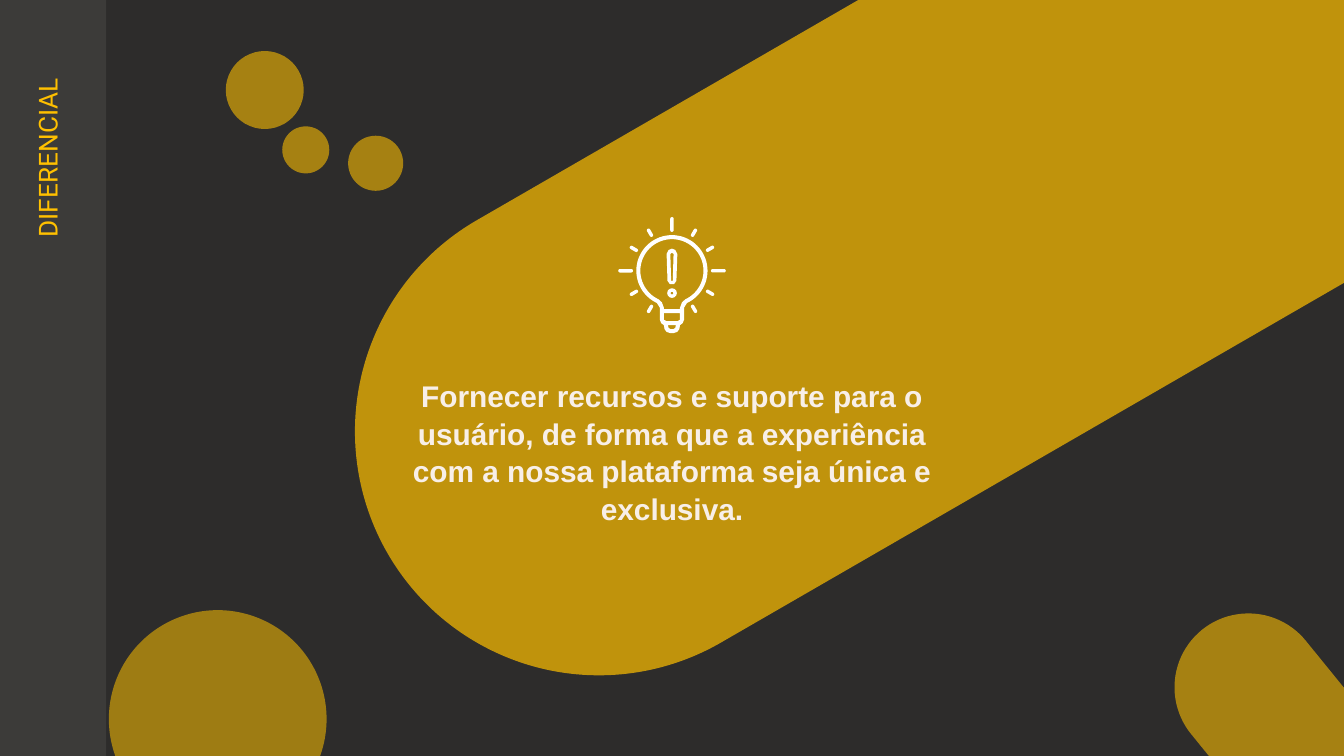
import math

from lxml import etree
from pptx import Presentation
from pptx import util as u
from pptx.dml.color import RGBColor
from pptx.enum import shapes, text
from pptx.oxml.ns import qn

COLORS = {
    "background": "2D2C2B",
    "sidebar": "3C3B39",
    "amber": "FFC000",
    "cream": "F8EFE8",
    "icon": "FFFFFF",
}
COLUMNS, ROWS = 100, 56.25
CELL = u.Inches(0.1)
SHAPE = shapes.MSO_SHAPE


def cells(count):
    return u.Emu(round(count * CELL))


def mirrored(half):
    """Close a left half-profile of (offset, row) points around its axis."""
    return half + [(-dx, y) for dx, y in reversed(half)]


class Deck:
    def __init__(self):
        self.presentation = Presentation()
        self.presentation.slide_width = cells(COLUMNS)
        self.presentation.slide_height = cells(ROWS)
        self.slide = self.presentation.slides.add_slide(self.presentation.slide_layouts[6])
        self.paint(self.slide.background, "background")

    def paint(self, target, color, opacity=100):
        target.fill.solid()
        target.fill.fore_color.rgb = RGBColor.from_string(COLORS[color])
        if opacity < 100:
            tint = target.fill._xPr.find(qn("a:solidFill"))[0]
            etree.SubElement(tint, qn("a:alpha"), val=str(opacity * 1000))

    def finish(self, shape, color, opacity=100):
        self.paint(shape, color, opacity)
        shape.line.fill.background()
        shape.shadow.inherit = False

    def block(self, kind, box, color, opacity=100, rotation=0, adjust=None, parent=None):
        shape = (parent or self.slide).shapes.add_shape(kind, *map(cells, box))
        shape.rotation = rotation
        if adjust is not None:
            shape.adjustments[0] = adjust
        self.finish(shape, color, opacity)

    def outline(self, parent, axis, contours, color):
        """Fill one shape made of an outer contour and its openings."""
        paths = [[(cells(axis + dx), cells(y)) for dx, y in mirrored(half)] for half in contours]
        builder = parent.shapes.build_freeform(*paths[0][0])
        builder.add_line_segments(paths[0][1:])
        for path in paths[1:]:
            builder.move_to(*path[0])
            builder.add_line_segments(path[1:])
        self.finish(builder.convert_to_shape(), color)

    def words(self, box, content, font, size, color, align, bold=False, rotation=0,
              spacing=1.0, after=0):
        label = self.slide.shapes.add_textbox(*map(cells, box))
        label.rotation = rotation
        frame = label.text_frame
        frame.word_wrap = True
        frame.vertical_anchor = text.MSO_ANCHOR.TOP
        frame.margin_left = frame.margin_right = cells(1)
        frame.margin_top = frame.margin_bottom = cells(1)
        paragraph = frame.paragraphs[0]
        paragraph.alignment = align
        paragraph.line_spacing = spacing
        paragraph.space_after = u.Pt(after)
        run = paragraph.add_run()
        run.text = content
        run.font.name, run.font.size, run.font.bold = font, u.Pt(size), bold
        run.font.color.rgb = RGBColor.from_string(COLORS[color])

    def light_bulb(self, x, y):
        icon = self.slide.shapes.add_group_shape()

        # Glass, collar and tip
        def glass(radius):
            angles = [math.radians(a) for a in range(180, 336, 5)]
            return [(radius * math.sin(a), y + radius * math.cos(a)) for a in angles]

        base = [(-0.9, 22.9), (-0.9, 23.8), (-0.8, 24.05), (-0.6, 24.2),
                (-0.55, 24.5), (-0.4, 24.7), (-0.1, 24.8)]
        self.outline(icon, x, [
            glass(2.65) + base,
            glass(2.35) + [(-0.75, 22.5), (-0.6, 22.9), (-0.6, 23)],
            [(-0.6, 23.3), (-0.6, 23.8), (-0.4, 23.9)],
            [(-0.3, 24.2), (-0.25, 24.4), (-0.1, 24.5)],
        ], "icon")

        # Exclamation mark
        self.outline(icon, x, [
            [(0, 18.5), (-0.25, 18.6), (-0.4, 18.9), (-0.33, 20.9), (-0.15, 21.15)],
            [(0, 18.8), (-0.12, 18.9), (-0.12, 19), (-0.06, 20.9)],
        ], "icon")
        self.block(SHAPE.DONUT, (x - 0.36, 21.45, 0.72, 0.72), "icon", adjust=0.36, parent=icon)

        # Rays every 30 degrees, except straight down
        for angle in range(-240, 61, 30):
            length, reach = (1.1, 3.45) if angle % 90 == 0 else (0.68, 3.27)
            ray_x = x + reach * math.cos(math.radians(angle))
            ray_y = y + reach * math.sin(math.radians(angle))
            self.block(SHAPE.ROUNDED_RECTANGLE,
                       (ray_x - length / 2, ray_y - 0.13, length, 0.26),
                       "icon", rotation=angle % 360, adjust=0.5, parent=icon)


def main():
    deck = Deck()

    # Sidebar with the section title
    deck.block(SHAPE.RECTANGLE, (-0.1, -0.1, 8, 56.8), "sidebar")
    deck.words((-11.3, 17.5, 31.1, 5.8), "DIFERENCIAL", "Roboto", 14, "amber",
               text.PP_ALIGN.RIGHT, rotation=270)

    # Main band and its statement
    deck.block(SHAPE.ROUNDED_RECTANGLE, (22.3, -1.4, 97.7, 36.3), "amber", 70, 330, 0.5)
    deck.words((28.9, 27, 42.2, 16.4),
               "Fornecer recursos e suporte para o usuário, de forma que a experiência "
               "com a nossa plataforma seja única e exclusiva.",
               "Arial", 16, "cream", text.PP_ALIGN.CENTER, bold=True, spacing=1.05, after=16)

    # Decorative circles: left, top, diameter, opacity
    for left, top, diameter, opacity in [(8.1, 45.4, 16.2, 54), (25.9, 10.1, 4.1, 58),
                                         (21, 9.4, 3.5, 58), (16.8, 3.8, 5.8, 58)]:
        deck.block(SHAPE.OVAL, (left, top, diameter, diameter), "amber", opacity)

    # Idea icon and corner pill
    deck.light_bulb(50, 20.15)
    deck.block(SHAPE.ROUNDED_RECTANGLE, (85.5, 49.6, 21.2, 11), "amber", 58, 50.9, 0.5)

    deck.presentation.save("out.pptx")


if __name__ == "__main__":
    main()
